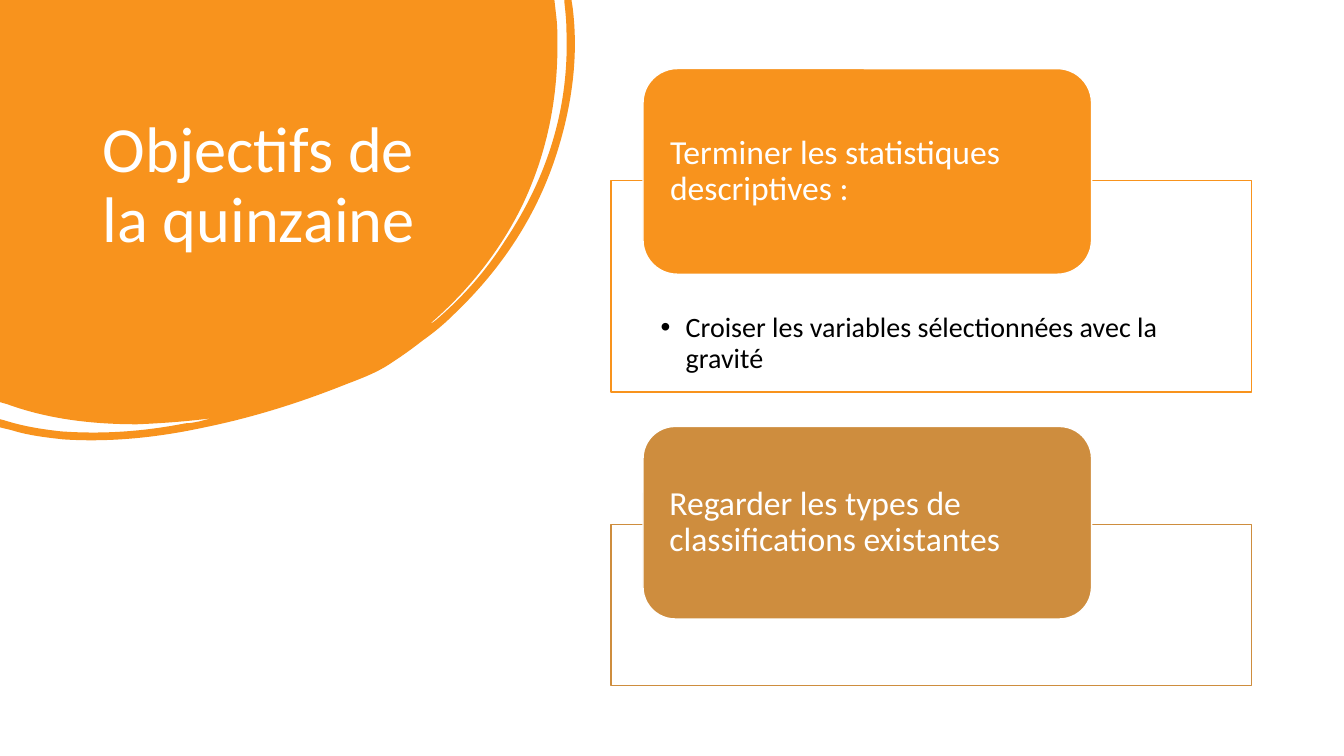
from dataclasses import dataclass

from lxml.etree import SubElement
from pptx import Presentation
from pptx.dml.color import RGBColor
from pptx.enum.shapes import MSO_SHAPE
from pptx.enum.text import MSO_ANCHOR, MSO_AUTO_SIZE, PP_ALIGN
from pptx.oxml.ns import qn
from pptx.shapes.autoshape import Shape
from pptx.slide import Slide
from pptx.util import Pt


@dataclass(frozen=True)
class Theme:
    orange: str = "F8931D"
    ochre: str = "CE8D3E"
    white: str = "FFFFFF"
    black: str = "000000"
    font: str = "Calibri"
    title_size: float = 46
    header_size: float = 24
    detail_size: float = 20
    line_spacing: float = 0.9
    frame_opacity: int = 90


@dataclass(frozen=True)
class Objective:
    header: str
    detail: str
    color: str
    header_top: float
    header_height: float
    frame_top: float
    frame_height: float


THEME = Theme()
FRAME_LEFT, FRAME_WIDTH = 436.5, 457.6
HEADER_LEFT, HEADER_WIDTH = 459.3, 320.4
HEADER_INSETS = (12.2, 0, 12.2, 0)
DETAIL_INSETS = (35.3, 95, 35.3, 11.5)
BULLET_INDENT = 18
BLOB_WIDTH, BLOB_HEIGHT = 411.1, 314.6

OBJECTIVES = (
    Objective("Terminer les statistiques descriptives :",
              "Croiser les variables sélectionnées avec la gravité",
              THEME.orange, 49, 146.9, 129, 151),
    Objective("Regarder les types de classifications existantes", "",
              THEME.ochre, 304.6, 137.5, 374.5, 115),
)

# Blob outline in points: two numbers are a straight step, six a Bézier curve
BLOB_OUTLINE = (
    (396, 0), (397.4, 12.2),
    (398.2, 18.7, 398.2, 25.9, 398.2, 32.4),
    (398.2, 72.7, 390.2, 110.9, 373, 146.9),
    (357.1, 179.3, 334.8, 207.4, 307.4, 231.1),
    (308.9, 231.1, 309.6, 229.7, 311, 229),
    (330.5, 212.4, 347, 193.7, 360.7, 172.1),
    (391, 126.7, 406.8, 77, 404.6, 21.6),
    (404.6, 15.1, 403.9, 8.6, 403.2, 2.2),
    (403.2, 0), (408.2, 0), (409, 5),
    (413.3, 38.9, 409, 73.4, 398.2, 108),
    (383.8, 154.1, 357.8, 193, 322.6, 226.1),
    (316.1, 232.6, 308.9, 238.3, 301.7, 243.4),
    (294.5, 249.1, 287.3, 254.2, 278.6, 259.9),
    (270, 265.7, 259.2, 270, 247.7, 274.3),
    (215.3, 287.3, 181.4, 298.1, 146.2, 305.3),
    (113, 312.5, 79.2, 316.1, 45.4, 313.9),
    (32.4, 312.5, 20.2, 311, 8.6, 307.4),
    (0, 305.3), (0, 299.5), (2.9, 300.2),
    (16.6, 304.6, 30.2, 306.7, 43.9, 308.2),
    (74.2, 310.3, 103, 308.2, 132.5, 302.4),
    (136.1, 302.4, 139, 301.7, 142.6, 301),
    (145.4, 300.2, 148.3, 299.5, 151.2, 298.8),
    (133.9, 301, 115.9, 302.4, 97.9, 303.1),
    (66.2, 303.1, 34.6, 299.5, 5, 288.7),
    (0, 287.3),
)


def write_text(shape: Shape, text: str, *, size: float, color: str,
               insets: tuple = (7.2, 3.6, 7.2, 3.6),
               anchor: MSO_ANCHOR = MSO_ANCHOR.MIDDLE, bullet: bool = False) -> None:
    frame = shape.text_frame
    frame.word_wrap = True
    frame.auto_size = MSO_AUTO_SIZE.NONE
    frame.vertical_anchor = anchor
    frame.margin_left, frame.margin_top, frame.margin_right, frame.margin_bottom = map(Pt, insets)
    paragraph = frame.paragraphs[0]
    paragraph.alignment = PP_ALIGN.LEFT
    paragraph.line_spacing = THEME.line_spacing
    run = paragraph.add_run()
    run.text = text
    run.font.name = THEME.font
    run.font.size = Pt(size)
    run.font.color.rgb = RGBColor.from_string(color)
    if bullet:
        properties = paragraph._p.get_or_add_pPr()
        properties.set("marL", str(Pt(BULLET_INDENT)))
        properties.set("indent", str(-Pt(BULLET_INDENT)))
        SubElement(properties, qn("a:buFont"), typeface="Arial")
        SubElement(properties, qn("a:buChar"), char="•")


def paint(shape: Shape, fill: str, line: str | None = None) -> None:
    shape.shadow.inherit = False
    shape.fill.solid()
    shape.fill.fore_color.rgb = RGBColor.from_string(fill)
    if line:
        shape.line.color.rgb = RGBColor.from_string(line)
        shape.line.width = Pt(1)
    else:
        shape.line.fill.background()


def draw_blob(slide: Slide) -> None:
    builder = slide.shapes.build_freeform(0, 0, scale=1.0)
    corners = [(Pt(step[-2]), Pt(step[-1])) for step in BLOB_OUTLINE]
    builder.add_line_segments(corners, close=True)
    blob = builder.convert_to_shape()
    paint(blob, THEME.orange)

    # Bend the six-number steps into Bézier curves
    outline = next(blob._element.iter(qn("a:path")))
    for segment, step in zip(outline.findall(qn("a:lnTo")), BLOB_OUTLINE):
        if len(step) == 6:
            segment.tag = qn("a:cubicBezTo")
            segment[0].set("x", str(Pt(step[0])))
            segment[0].set("y", str(Pt(step[1])))
            for x, y in (step[2:4], step[4:6]):
                SubElement(segment, qn("a:pt"), x=str(Pt(x)), y=str(Pt(y)))

    # Curves bulge past their end points, so the bounds grow with them
    blob.width, blob.height = Pt(BLOB_WIDTH), Pt(BLOB_HEIGHT)
    outline.set("w", str(Pt(BLOB_WIDTH)))
    outline.set("h", str(Pt(BLOB_HEIGHT)))


def draw_objective(slide: Slide, objective: Objective) -> None:
    # Frame with its detail
    frame = slide.shapes.add_shape(
        MSO_SHAPE.RECTANGLE, Pt(FRAME_LEFT), Pt(objective.frame_top),
        Pt(FRAME_WIDTH), Pt(objective.frame_height))
    paint(frame, THEME.white, objective.color)
    fill_color = frame._element.spPr.find(qn("a:solidFill"))[0]
    SubElement(fill_color, qn("a:alpha"), val=str(THEME.frame_opacity * 1000))
    if objective.detail:
        write_text(frame, objective.detail, size=THEME.detail_size, color=THEME.black,
                   insets=DETAIL_INSETS, anchor=MSO_ANCHOR.TOP, bullet=True)

    # Rounded header over the frame
    header = slide.shapes.add_shape(
        MSO_SHAPE.ROUNDED_RECTANGLE, Pt(HEADER_LEFT), Pt(objective.header_top),
        Pt(HEADER_WIDTH), Pt(objective.header_height))
    paint(header, objective.color, THEME.white)
    write_text(header, objective.header, size=THEME.header_size, color=THEME.white,
               insets=HEADER_INSETS)


def main() -> None:
    presentation = Presentation()
    presentation.slide_width, presentation.slide_height = Pt(960), Pt(540)
    slide = presentation.slides.add_slide(presentation.slide_layouts[5])

    # Blob behind the title
    draw_blob(slide)
    title = slide.shapes.title
    slide.shapes._spTree.append(title._element)
    title.left, title.top, title.width, title.height = map(Pt, (66.2, 53.3, 253.4, 159.8))
    write_text(title, "Objectifs de la quinzaine", size=THEME.title_size, color=THEME.white)

    # Objectives
    for objective in OBJECTIVES:
        draw_objective(slide, objective)

    presentation.save("out.pptx")


if __name__ == "__main__":
    main()
